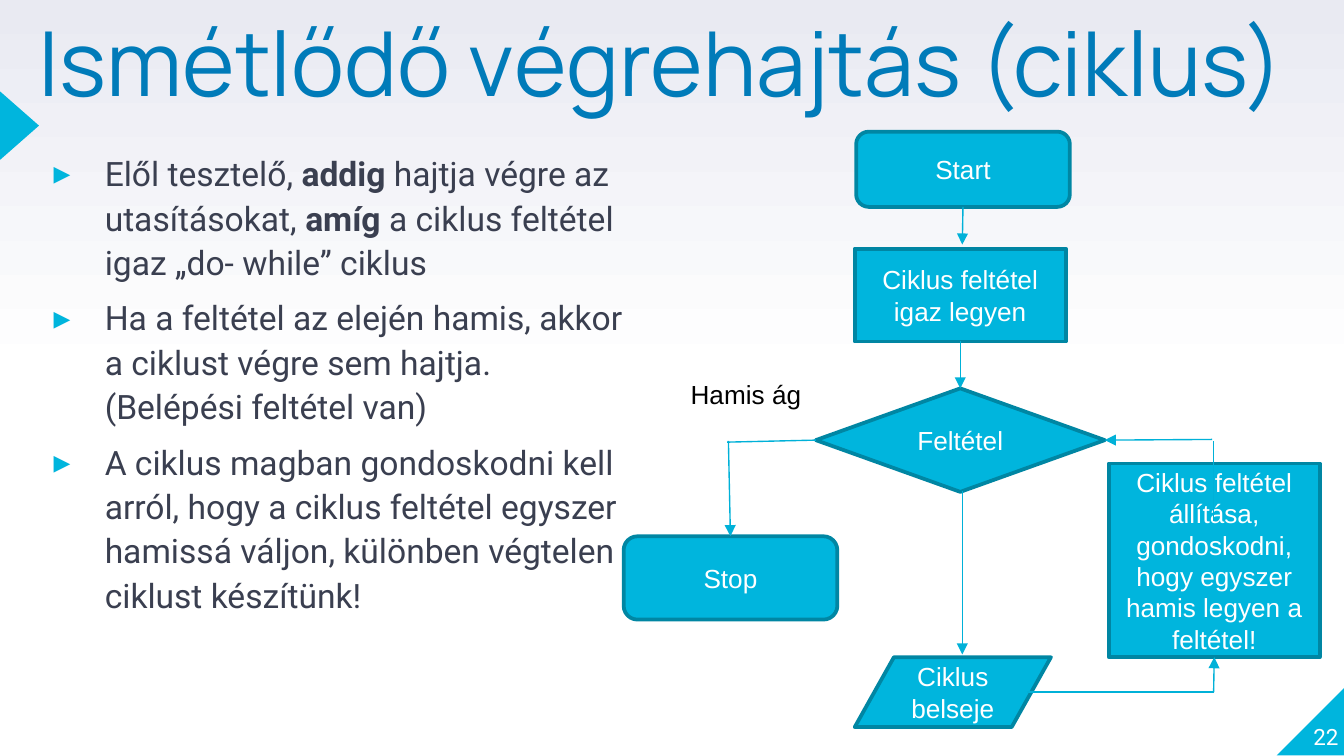
from lxml import etree
from pptx import Presentation
from pptx.dml.color import RGBColor
from pptx.enum.shapes import MSO_CONNECTOR, MSO_SHAPE as SHAPE
from pptx.enum.text import MSO_ANCHOR as ANCHOR, PP_ALIGN as ALIGN
from pptx.oxml.ns import qn
from pptx.util import Inches, Pt

CYAN = RGBColor(0x00, 0xB5, 0xDD)
TEAL = RGBColor(0x00, 0x86, 0xA3)
ARROW = RGBColor(0x00, 0xB1, 0xD8)
BLUE = RGBColor(0x00, 0x7B, 0xB9)
SLATE = RGBColor(0x3A, 0x3F, 0x50)
MIST = RGBColor(0xE9, 0xEA, 0xF2)
WHITE = RGBColor(0xFF, 0xFF, 0xFF)
BLACK = RGBColor(0x00, 0x00, 0x00)


def write(shape, *texts, font="Arial", size=14, color=WHITE, align=ALIGN.LEFT,
          anchor=ANCHOR.TOP, spacing=None, before=None, margin=None, bullet=None):
    """Write one paragraph per text; parts between asterisks are bold."""
    frame = shape.text_frame
    frame.word_wrap = True
    frame.vertical_anchor = anchor
    if margin is not None:
        frame.margin_left = frame.margin_right = Inches(margin)
        frame.margin_top = frame.margin_bottom = Inches(margin)
    for index, text in enumerate(texts):
        paragraph = frame.add_paragraph() if index else frame.paragraphs[0]
        paragraph.alignment = align
        paragraph.line_spacing = spacing
        paragraph.space_before = before
        if bullet:
            properties = paragraph._p.get_or_add_pPr()
            properties.set("marL", str(Inches(0.5)))
            properties.set("indent", str(Inches(-0.38)))
            bullet_color = etree.SubElement(properties, qn("a:buClr"))
            etree.SubElement(bullet_color, qn("a:srgbClr"), val=str(CYAN))
            etree.SubElement(properties, qn("a:buFont"), typeface=font)
            etree.SubElement(properties, qn("a:buChar"), char=bullet)
        for part, words in enumerate(text.split("*")):
            run = paragraph.add_run()
            run.text = words
            run.font.name = font
            run.font.size = Pt(size)
            run.font.color.rgb = color
            run.font.bold = part % 2 == 1


def add_filled(kind, left, top, width, height):
    shape = slide.shapes.add_shape(
        kind, Inches(left), Inches(top), Inches(width), Inches(height))
    shape.shadow.inherit = False
    shape.fill.solid()
    shape.fill.fore_color.rgb = CYAN
    shape.line.fill.background()
    return shape


# A 16:9 slide
presentation = Presentation()
presentation.slide_width = Inches(10)
presentation.slide_height = Inches(10 * 9 / 16)
slide = presentation.slides.add_slide(presentation.slide_layouts[6])

# Background: white lower half, fading to mist at the top
background = slide.background.fill
background.gradient()
background.gradient_angle = 90
for stop, position, color in zip(background.gradient_stops, (0.5, 1), (WHITE, MIST)):
    stop.position = position
    stop.color.rgb = color

# Corner and edge decoration
corner = add_filled(SHAPE.RIGHT_TRIANGLE, 9.5, 5.11, 0.51, 0.51)
corner._element.spPr.find(qn("a:xfrm")).set("flipH", "1")
pointer = add_filled(SHAPE.ISOSCELES_TRIANGLE, -0.11, 0.79, 0.51, 0.29)
pointer.rotation = 90

# Title and page number
title = slide.shapes.add_textbox(Inches(0.29), Inches(0.21), Inches(9.37), Inches(0.68))
write(title, "Ismétlődő végrehajtás (ciklus)", font="Manrope", size=48, color=BLUE,
      spacing=0.8, margin=0)
page_number = slide.shapes.add_textbox(
    Inches(9.46), Inches(5.07), Inches(0.5), Inches(0.51))
write(page_number, "22", font="Roboto", size=12, align=ALIGN.RIGHT,
      anchor=ANCHOR.BOTTOM, margin=0)

# Flowchart boxes
ROUNDED = SHAPE.FLOWCHART_ALTERNATE_PROCESS
PROCESS = SHAPE.FLOWCHART_PROCESS
boxes = {}
for name, kind, place, text in [
    ("start", ROUNDED, (6.37, 0.98, 1.59, 0.56), "Start"),
    ("condition", SHAPE.FLOWCHART_DECISION, (6.07, 2.89, 2.15, 0.77), "Feltétel"),
    ("update", PROCESS, (8.25, 3.45, 1.57, 1.44),
     "Ciklus feltétel állítása, gondoskodni, hogy egyszer hamis legyen a feltétel!"),
    ("body", SHAPE.FLOWCHART_DATA, (6.36, 4.89, 1.46, 0.52), "Ciklus belseje"),
    ("stop", ROUNDED, (4.64, 3.99, 1.59, 0.62), "Stop"),
    ("setup", PROCESS, (6.36, 1.85, 1.57, 0.69), "Ciklus feltétel igaz legyen"),
]:
    box = add_filled(kind, *place)
    box.line.color.rgb = TEAL
    box.line.width = Pt(2)
    write(box, text, align=ALIGN.CENTER, anchor=ANCHOR.MIDDLE)
    boxes[name] = box

# Flow lines: start, end, arrowhead, joined box and side at each end
for start, end, arrow, begin_join, end_join in [
    ((7.16, 1.54), (7.16, 1.82), True, ("start", 2), None),
    ((7.15, 2.54), (7.15, 2.89), True, ("setup", 2), ("condition", 0)),
    ((7.16, 3.65), (7.16, 4.87), True, None, None),
    ((6.07, 3.27), (5.41, 3.29), False, ("condition", 1), None),
    ((5.42, 3.28), (5.44, 3.99), True, None, ("stop", 0)),
    ((7.64, 5.15), (9.03, 5.15), False, None, None),
    ((9.03, 5.15), (9.03, 4.89), True, None, ("update", 2)),
    ((9.03, 3.88), (9.03, 3.28), False, None, None),
    ((9.02, 3.27), (8.22, 3.27), True, None, ("condition", 3)),
]:
    line = slide.shapes.add_connector(
        MSO_CONNECTOR.STRAIGHT, *(Inches(value) for value in start + end))
    if begin_join:
        line.begin_connect(boxes[begin_join[0]], begin_join[1])
    if end_join:
        line.end_connect(boxes[end_join[0]], end_join[1])
    line.line.color.rgb = ARROW
    line.line.width = Pt(0.75)
    if arrow:
        etree.SubElement(line.line._get_or_add_ln(), qn("a:tailEnd"), type="triangle")
    etree.SubElement(line._element.spPr, qn("a:effectLst"))

# Branch label and explanation
branch_label = slide.shapes.add_textbox(
    Inches(5.04), Inches(2.77), Inches(1.08), Inches(0.34))
write(branch_label, "Hamis ág", color=BLACK)
explanation = slide.shapes.add_textbox(
    Inches(0.28), Inches(1.11), Inches(4.36), Inches(1.36))
write(
    explanation,
    "Elől tesztelő, *addig* hajtja végre az utasításokat, *amíg* a ciklus feltétel "
    "igaz „do- while” ciklus",
    "Ha a feltétel az elején hamis, akkor a ciklust végre sem hajtja. "
    "(Belépési feltétel van)",
    "A ciklus magban gondoskodni kell arról, hogy a ciklus feltétel egyszer "
    "hamissá váljon, különben végtelen ciklust készítünk!",
    font="Roboto", size=18, color=SLATE, spacing=1.1, before=Pt(6), margin=0, bullet="▸")

presentation.save("out.pptx")
